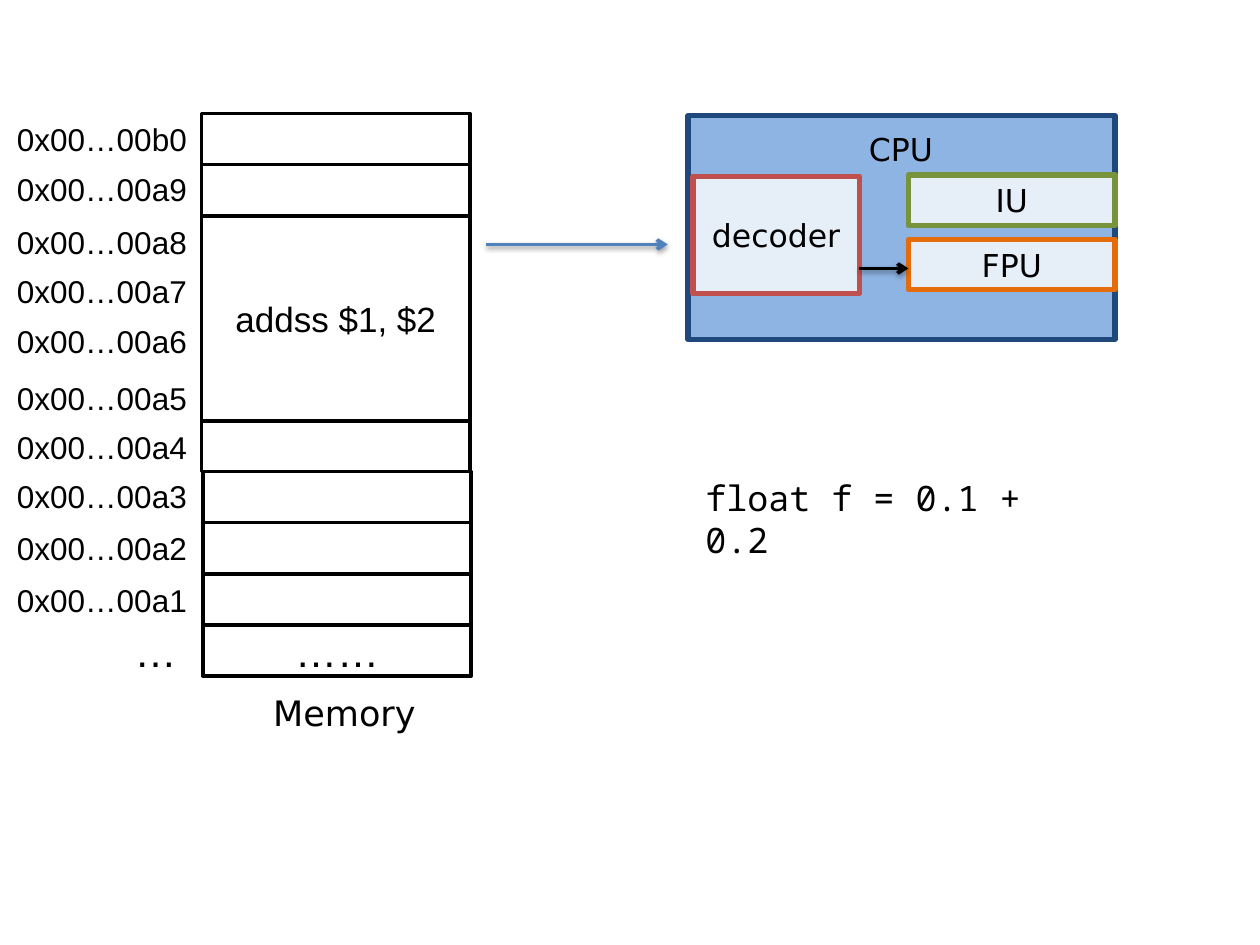
from dataclasses import dataclass

from lxml import etree
from pptx import Presentation
from pptx import util as u
from pptx.dml.color import RGBColor
from pptx.enum import shapes, text
from pptx.oxml import parse_xml
from pptx.oxml.ns import nsdecls, qn

COLOURS = {
    "black": "000000", "white": "FFFFFF", "cpu": "8EB4E3", "navy": "1F497D",
    "decoder": "C0504D", "integer": "77933C", "float": "E46C0A", "load": "4F81BD",
}
SANS, ARIAL, MONO = "DejaVu Sans", "Arial", "Noto Sans Mono"
ALIGN = text.PP_ALIGN

ROW_LEFT, ROW_TOP, ROW_WIDTH, ROW_PITCH = 115.2, 64.8, 153.4, 29.23
LABEL_LEFT, LABEL_WIDTH, LABEL_HEIGHT = 1.6, 112.3, 28.8


@dataclass
class Box:
    left: float
    top: float
    width: float
    height: float
    line: str = "black"
    weight: float = 2
    fill: str = "white"
    opacity: int = 100
    words: str = ""
    size: float = 18
    font: str = SANS


@dataclass
class Label:
    left: float
    top: float
    width: float
    height: float
    words: str
    size: float = 18
    font: str = SANS
    align: ALIGN = ALIGN.LEFT
    wrap: bool = False


@dataclass
class Arrow:
    start: float
    end: float
    y: float
    colour: str


def rgb(name: str) -> RGBColor:
    return RGBColor.from_string(COLOURS[name])


def write(shape, words: str, size: float, font: str, align: ALIGN) -> None:
    paragraph = shape.text_frame.paragraphs[0]
    paragraph.alignment = align
    run = paragraph.add_run()
    run.text = words
    run.font.color.rgb = rgb("black")
    for name, value in {"size": u.Pt(size), "name": font}.items():
        setattr(run.font, name, value)


def draw_box(slide, box: Box) -> None:
    frame = map(u.Pt, (box.left, box.top, box.width, box.height))
    shape = slide.shapes.add_shape(shapes.MSO_SHAPE.RECTANGLE, *frame)
    shape.shadow.inherit = False
    shape.fill.solid()
    shape.fill.fore_color.rgb = rgb(box.fill)
    shape.line.color.rgb = rgb(box.line)
    shape.line.width = u.Pt(box.weight)
    if box.opacity < 100:
        colour = shape.fill._xPr.find(".//" + qn("a:srgbClr"))
        etree.SubElement(colour, qn("a:alpha"), val=str(box.opacity * 1000))
    if box.words:
        shape.text_frame.vertical_anchor = text.MSO_ANCHOR.MIDDLE
        write(shape, box.words, box.size, box.font, ALIGN.CENTER)


def draw_label(slide, label: Label) -> None:
    frame = map(u.Pt, (label.left, label.top, label.width, label.height))
    shape = slide.shapes.add_textbox(*frame)
    settings = {"word_wrap": label.wrap,
                "auto_size": text.MSO_AUTO_SIZE.SHAPE_TO_FIT_TEXT}
    for name, value in settings.items():
        setattr(shape.text_frame, name, value)
    write(shape, label.words, label.size, label.font, label.align)


def draw_arrow(slide, arrow: Arrow) -> None:
    ends = map(u.Pt, (arrow.start, arrow.y, arrow.end, arrow.y))
    connector = slide.shapes.add_connector(shapes.MSO_CONNECTOR.STRAIGHT, *ends)
    connector.line.color.rgb = rgb(arrow.colour)
    connector.line.width = u.Pt(2)
    etree.SubElement(connector.line._get_or_add_ln(), qn("a:tailEnd"), type="arrow")
    connector._element.spPr.append(parse_xml(
        f'<a:effectLst {nsdecls("a")}><a:outerShdw blurRad="{u.Pt(3.1)}" '
        f'dist="{u.Pt(1.6)}" dir="5400000" rotWithShape="0"><a:srgbClr '
        f'val="{COLOURS["black"]}"><a:alpha val="38000"/></a:srgbClr>'
        '</a:outerShdw></a:effectLst>'))


def draw_memory(slide) -> None:
    # Empty cells above and below the instruction, lower ones a little to the right
    for row in (0, 1, 6, 7, 8, 9, 10):
        left = ROW_LEFT + (0.7 if row > 6 else 0)
        words = "……" if row == 10 else ""
        draw_box(slide, Box(left, ROW_TOP + row * ROW_PITCH, ROW_WIDTH, ROW_PITCH,
                            words=words, size=24, font=ARIAL))

    # Instruction spanning four addresses
    draw_box(slide, Box(ROW_LEFT, 123.8, ROW_WIDTH, 4 * ROW_PITCH,
                        words="addss $1, $2", size=20, font=ARIAL))

    # Addresses
    address_tops = {"b0": 64.8, "a9": 93.6, "a8": 123.8, "a7": 151.9, "a6": 180.7,
                    "a5": 213.1, "a4": 241.2, "a3": 269.3, "a2": 298.8, "a1": 328.3}
    for ending, top in address_tops.items():
        draw_label(slide, Label(LABEL_LEFT, top, LABEL_WIDTH, LABEL_HEIGHT,
                                f"0x00…00{ending}", font=ARIAL, align=ALIGN.RIGHT))
    draw_label(slide, Label(69.1, 354.2, 38.9, 36, "…", 24, ARIAL, ALIGN.RIGHT))
    draw_label(slide, Label(149, 391.7, 95.8, 31.7, "Memory", 20))


def draw_processor(slide) -> None:
    draw_box(slide, Box(393.1, 66.2, 244.1, 127.9, "navy", 3, "cpu"))
    draw_label(slide, Label(475.9, 70.6, 77.8, 51.1, "CPU", align=ALIGN.CENTER))
    units = [
        Box(396, 100.8, 95, 67, "decoder", 3, opacity=78, words="decoder"),
        Box(519.1, 100.1, 118.1, 28.8, "integer", 3, opacity=78, words="IU"),
        Box(519.1, 136.8, 118.1, 28.8, "float", 3, opacity=78, words="FPU"),
    ]
    for unit in units:
        draw_box(slide, unit)


def main() -> None:
    presentation = Presentation()
    presentation.slide_width, presentation.slide_height = u.Pt(720), u.Pt(540)
    slide = presentation.slides.add_slide(presentation.slide_layouts[6])

    draw_processor(slide)
    draw_memory(slide)

    # Instruction load, then hand-over to the floating point unit
    for arrow in (Arrow(277.9, 381.6, 139.7, "load"), Arrow(491, 519.1, 153.4, "black")):
        draw_arrow(slide, arrow)

    # Line of code
    draw_label(slide, Label(396, 268.6, 225.4, 31.7, "float f = 0.1 + 0.2",
                            20, MONO, wrap=True))
    presentation.save("out.pptx")


if __name__ == "__main__":
    main()
